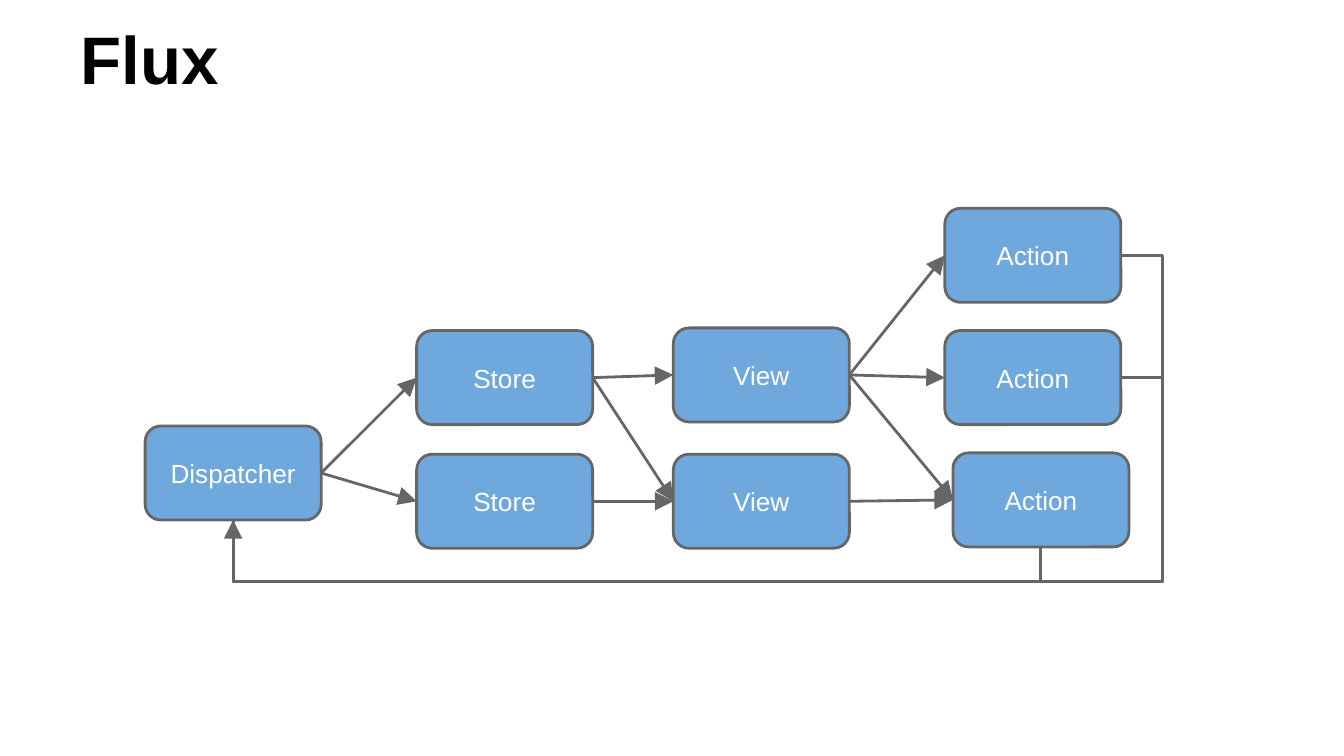
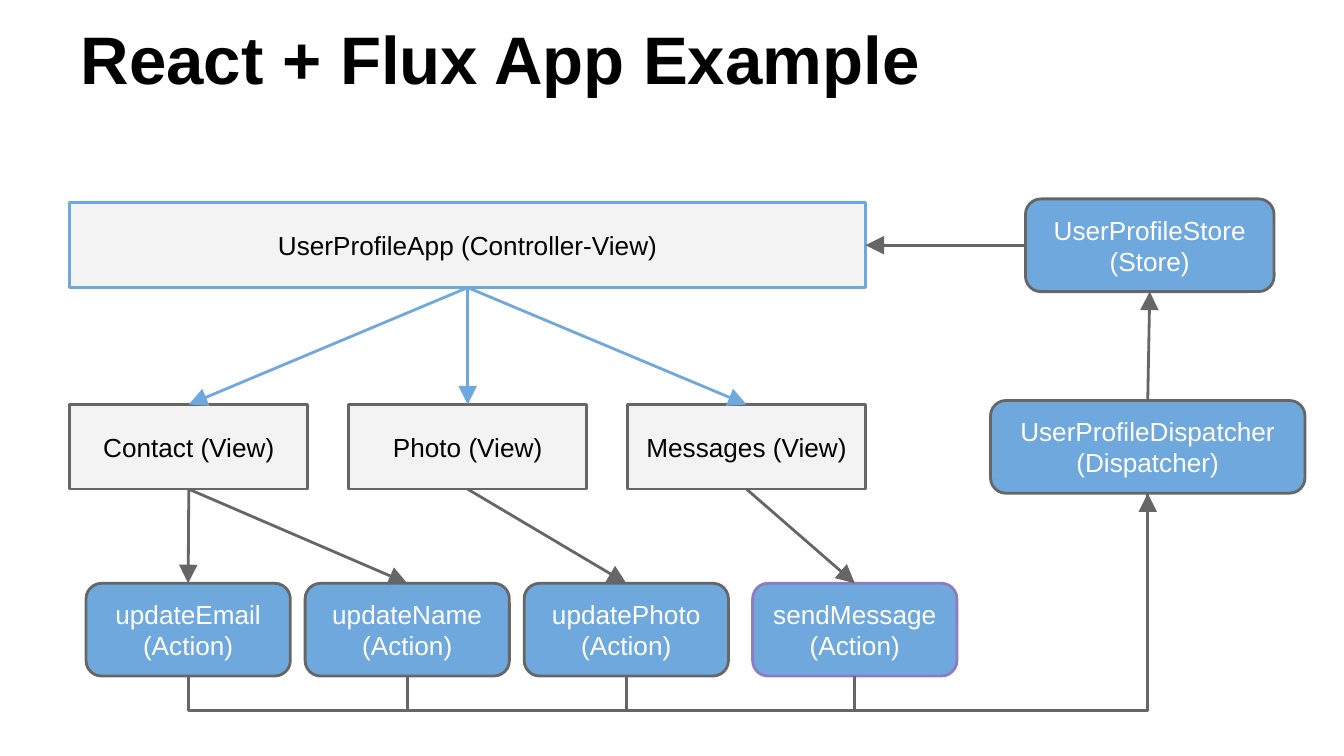
import pptx
import pptx.util
from lxml import etree
from pptx.dml.color import RGBColor
from pptx.enum.shapes import MSO_CONNECTOR, MSO_SHAPE
from pptx.enum.text import MSO_ANCHOR, MSO_AUTO_SIZE, PP_ALIGN
from pptx.oxml.ns import qn
from pptx.util import Inches

BLUE = RGBColor(0x6F, 0xA8, 0xDC)
GRAY = RGBColor(0x66, 0x66, 0x66)
PALE = RGBColor(0xF3, 0xF3, 0xF3)
PLUM = RGBColor(0x8E, 0x7C, 0xC3)
WHITE = RGBColor(0xFF, 0xFF, 0xFF)
BLACK = RGBColor(0, 0, 0)
FONT = "Arial"
ROUND = MSO_SHAPE.FLOWCHART_ALTERNATE_PROCESS
TOP, LEFT, BOTTOM, RIGHT = range(4)


def box(slide, text, x, y, w, h, kind=ROUND, edge=GRAY):
    node = slide.shapes.add_shape(kind, Inches(x), Inches(y), Inches(w), Inches(h))
    node.shadow.inherit = False
    node.fill.solid()
    node.fill.fore_color.rgb = BLUE if kind == ROUND else PALE
    node.line.color.rgb = edge
    node.line.width = pptx.util.Pt(1.5)
    frame = node.text_frame
    frame.text = text
    frame.word_wrap = True
    frame.vertical_anchor = MSO_ANCHOR.MIDDLE
    frame.margin_left = frame.margin_right = Inches(0.1)
    frame.margin_top = frame.margin_bottom = Inches(0.1)
    para = frame.paragraphs[0]
    para.alignment = PP_ALIGN.CENTER
    font = para.runs[0].font
    font.name, font.size = FONT, pptx.util.Pt(14)
    font.color.rgb = WHITE if kind == ROUND else BLACK
    return node


def link(slide, start, out, end, into, color=GRAY, arrow=True, rail=None, side=None):
    """Join two boxes; rail is the height of a bent line, side its outer edge."""
    spots = []
    for node, site in ((start, out), (end, into)):
        dx, dy = ((0.5, 0), (0, 0.5), (0.5, 1), (1, 0.5))[site]
        spots += [int(node.left + node.width * dx), int(node.top + node.height * dy)]
    x1, y1, x2, y2 = spots
    kind = MSO_CONNECTOR.ELBOW if rail else MSO_CONNECTOR.STRAIGHT
    line = slide.shapes.add_connector(kind, x1, y1, x2, y2)
    line.line.color.rgb = color
    line.line.width = pptx.util.Pt(1.5)
    props = line.element.spPr
    if rail:
        geom = props.find(qn("a:prstGeom"))
        wide, high = abs(x2 - x1), abs(y2 - y1)
        if side:  # leaves sideways, then runs down to the rail
            geom.set("prst", "bentConnector4")
            bends = [(x1 - Inches(side)) / wide, (Inches(rail) - y1) / high]
        else:  # leaves downwards: a quarter turn of the plain elbow
            bends = [(y1 - Inches(rail)) / high]
            line.left, line.top = (x1 + x2 - high) // 2, (y1 + y2 - wide) // 2
            line.width, line.height = high, wide
            frame = props.find(qn("a:xfrm"))
            frame.attrib.pop("flipV", None)
            frame.set("rot", "5400000" if x2 < x1 else "16200000")
        guides = geom.find(qn("a:avLst"))
        if guides is None:
            guides = etree.SubElement(geom, qn("a:avLst"))
        for num, bend in enumerate(bends, 1):
            etree.SubElement(guides, qn("a:gd"), name=f"adj{num}",
                             fmla=f"val {round(bend * 100000)}")
    else:
        line.begin_connect(start, out)
        line.end_connect(end, into)
    if arrow:
        etree.SubElement(props.find(qn("a:ln")), qn("a:tailEnd"),
                         type="triangle", w="lg", len="lg")
    etree.SubElement(props, qn("a:effectLst"))


# Widescreen deck, 16 to 9
deck = pptx.Presentation()
deck.slide_width = Inches(10)
deck.slide_height = deck.slide_width * 9 // 16

# Slides with their titles
pages = []
for name in ("Flux", "React + Flux App Example"):
    page = deck.slides.add_slide(deck.slide_layouts[5])
    head = page.shapes.title
    head.left, head.top = Inches(0.5), Inches(-0.11)
    head.width, head.height = Inches(9), Inches(0.94)
    frame = head.text_frame
    frame.text = name
    frame.auto_size = MSO_AUTO_SIZE.NONE
    frame.vertical_anchor = MSO_ANCHOR.BOTTOM
    frame.margin_left = frame.margin_right = Inches(0.1)
    frame.margin_top = frame.margin_bottom = Inches(0.1)
    para = frame.paragraphs[0]
    para.alignment = PP_ALIGN.LEFT
    font = para.runs[0].font
    font.name, font.size, font.bold = FONT, pptx.util.Pt(36), True
    font.color.rgb = BLACK
    pages.append(page)
flux, app = pages

# Flux: boxes, column by column
hub = box(flux, "Dispatcher", 1.08, 3.17, 1.31, 0.7)
stores = [box(flux, "Store", 3.1, y, 1.31, 0.7) for y in (2.46, 3.38)]
views = [box(flux, "View", 5.01, y, 1.31, 0.7) for y in (2.44, 3.38)]
acts = [box(flux, "Action", x, y, 1.31, 0.7)
        for x, y in ((7.03, 1.55), (7.03, 2.46), (7.09, 3.37))]

# Flux: flow to the right, then back to the dispatcher
flow = [(hub, node) for node in stores]
flow += [(stores[0], node) for node in views] + [(stores[1], views[1])]
flow += [(views[0], node) for node in acts] + [(views[1], acts[2])]
for start, end in flow:
    link(flux, start, RIGHT, end, LEFT)
for act in acts[:2]:
    link(flux, act, RIGHT, hub, BOTTOM, arrow=False, rail=4.33, side=8.65)
link(flux, acts[2], BOTTOM, hub, BOTTOM, rail=4.33)

# App: controller and its views, spread across its width
main = box(app, "UserProfileApp (Controller-View)", 0.52, 1.51, 5.92, 0.63,
           MSO_SHAPE.RECTANGLE, BLUE)
views = []
step = (5.92 - 1.77) / 2
for col, name in enumerate(("Contact", "Photo", "Messages")):
    view = box(app, f"{name} (View)", 0.52 + step * col, 3.01, 1.77, 0.63,
               MSO_SHAPE.RECTANGLE)
    link(app, main, BOTTOM, view, TOP, BLUE)
    views.append(view)

# App: store and dispatcher
store = box(app, "UserProfileStore (Store)", 7.63, 1.48, 1.85, 0.69)
hub = box(app, "UserProfileDispatcher (Dispatcher)", 7.37, 2.98, 2.34, 0.69)
link(app, store, LEFT, main, RIGHT)
link(app, hub, TOP, store, BOTTOM)

# App: actions, each called by a view and sent to the dispatcher
for name, x, view, edge in (("updateEmail", 0.64, 0, GRAY),
                            ("updateName", 2.27, 0, GRAY),
                            ("updatePhoto", 3.9, 1, GRAY),
                            ("sendMessage", 5.6, 2, PLUM)):
    act = box(app, f"{name} (Action)", x, 4.34, 1.52, 0.69, edge=edge)
    link(app, views[view], BOTTOM, act, TOP)
    link(app, act, BOTTOM, hub, BOTTOM, arrow=name == "sendMessage", rail=5.29)

deck.save("out.pptx")
